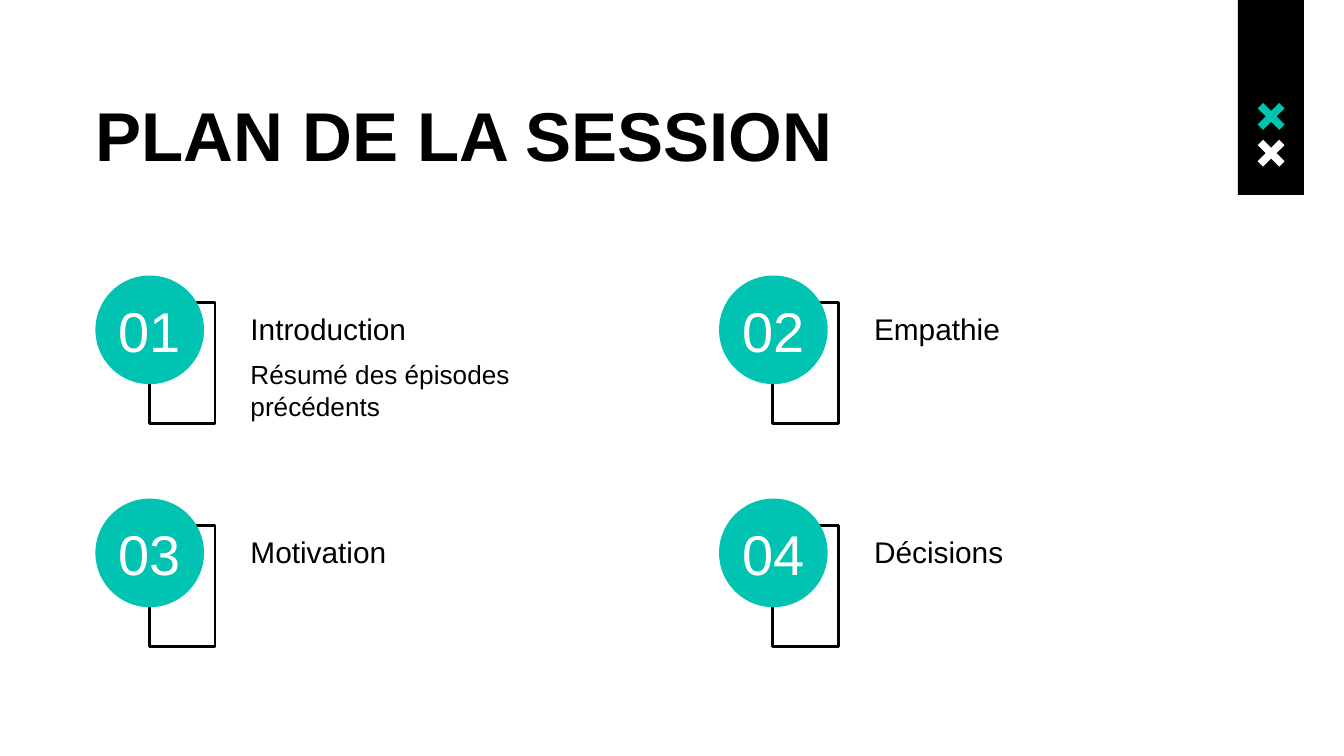
from pptx import Presentation
from pptx.dml.color import RGBColor
from pptx.enum.shapes import MSO_SHAPE as Shape
from pptx.enum.text import MSO_ANCHOR as Anchor, MSO_AUTO_SIZE as AutoSize, PP_ALIGN as Align
from pptx.util import Pt

COLORS = {"black": "000000", "teal": "00C3B1", "white": "FFFFFF"}
FONT = "Arial"
INSET = 7.2

# Label and optional detail of each agenda item, in reading order
ITEMS = [
    ("Introduction", "Résumé des épisodes précédents"),
    ("Empathie", None),
    ("Motivation", None),
    ("Décisions", None),
]
COLUMNS = 2
GRID_LEFT, GRID_TOP = 51.1, 147.6
COLUMN_STEP, ROW_STEP = 334.1, 119.5
CIRCLE_SIZE = 58.2
CROSS_SIZE = 14.4


class AgendaSlide:
    """Holds the style and the current slide."""

    def __init__(self, slide):
        self.slide = slide

    def color(self, name):
        return RGBColor.from_string(COLORS[name])

    def set_text(self, shape, text, size, color="black", bold=False,
                 anchor=Anchor.MIDDLE, align=Align.LEFT, inset=INSET):
        frame = shape.text_frame
        frame.text = text
        frame.word_wrap = True
        frame.auto_size = AutoSize.NONE
        frame.vertical_anchor = anchor
        frame.margin_left = frame.margin_right = Pt(inset)
        frame.margin_top = frame.margin_bottom = Pt(inset)
        paragraph = frame.paragraphs[0]
        paragraph.alignment = align
        font = paragraph.font
        font.name, font.size, font.bold = FONT, Pt(size), bold
        font.color.rgb = self.color(color)

    def paint(self, shape, fill=None, line=None):
        shape.shadow.inherit = False
        if fill:
            shape.fill.solid()
            shape.fill.fore_color.rgb = self.color(fill)
        else:
            shape.fill.background()
        if line:
            shape.line.color.rgb = self.color(line)
            shape.line.width = Pt(1.5)
        else:
            shape.line.fill.background()

    def title(self, text, left, top, width, height):
        shape = self.slide.shapes.title
        shape.left, shape.top = Pt(left), Pt(top)
        shape.width, shape.height = Pt(width), Pt(height)
        self.set_text(shape, text, 37, bold=True, anchor=Anchor.TOP)

    def shape(self, kind, left, top, width, height, fill=None, line=None):
        shape = self.slide.shapes.add_shape(kind, Pt(left), Pt(top), Pt(width), Pt(height))
        self.paint(shape, fill, line)
        return shape

    def label(self, text, left, top, width, height, size, anchor=Anchor.MIDDLE):
        box = self.slide.shapes.add_textbox(Pt(left), Pt(top), Pt(width), Pt(height))
        self.set_text(box, text, size, anchor=anchor)

    def cross(self, left, top, fill):
        """Draw a diagonal cross whose arms end in square corners."""
        arm, middle, end = CROSS_SIZE / 5, CROSS_SIZE / 2, CROSS_SIZE
        notch = middle - arm
        points = [
            (arm, 0), (middle, notch), (end - arm, 0), (end, arm),
            (end - notch, middle), (end, end - arm), (end - arm, end),
            (middle, end - notch), (arm, end), (0, end - arm),
            (notch, middle), (0, arm),
        ]
        corners = [(Pt(left + x), Pt(top + y)) for x, y in points]
        builder = self.slide.shapes.build_freeform(*corners[0])
        builder.add_line_segments(corners[1:], close=True)
        self.paint(builder.convert_to_shape(), fill)

    def item(self, number, text, detail, left, top):
        self.shape(Shape.RECTANGLE, left + 28.8, top + 14.4, 35.3, 64.8, line="black")
        circle = self.shape(Shape.OVAL, left, top, CIRCLE_SIZE, CIRCLE_SIZE, fill="teal")
        self.set_text(circle, f"{number:02}", 30, "white", align=Align.CENTER, inset=0)
        self.label(text, left + 76, top + 14.4, 209.5, 28.1, 16)
        if detail:
            self.label(detail, left + 76, top + 37.4, 209.5, 50.4, 14, Anchor.TOP)


def main():
    presentation = Presentation()
    presentation.slide_width, presentation.slide_height = Pt(720), Pt(405)
    title_only = presentation.slide_layouts[5]
    agenda = AgendaSlide(presentation.slides.add_slide(title_only))

    agenda.shape(Shape.RECTANGLE, 663.2, 0, 35.3, 104.4, fill="black")
    agenda.cross(673.8, 55.2, "teal")
    agenda.cross(673.8, 74.9, "white")
    agenda.title("PLAN DE LA SESSION", 43.9, 42.5, 637.9, 56.9)

    for index, (text, detail) in enumerate(ITEMS):
        row, column = divmod(index, COLUMNS)
        agenda.item(index + 1, text, detail,
                    GRID_LEFT + column * COLUMN_STEP, GRID_TOP + row * ROW_STEP)

    presentation.save("out.pptx")


if __name__ == "__main__":
    main()
